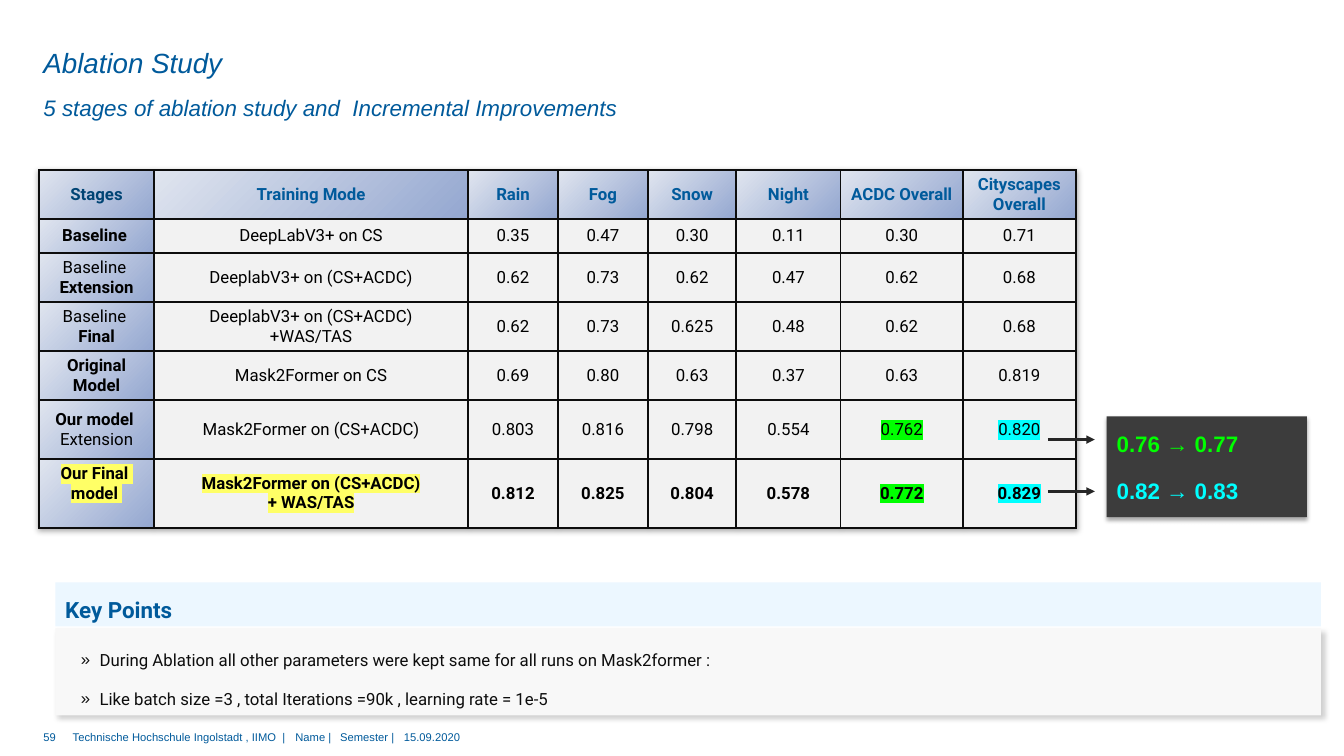
from lxml import etree
from pptx import Presentation
from pptx.dml.color import RGBColor
from pptx.enum.shapes import MSO_CONNECTOR as CONNECTOR, MSO_SHAPE as SHAPE
from pptx.enum.text import MSO_ANCHOR as ANCHOR, MSO_AUTO_SIZE as AUTO_SIZE, PP_ALIGN as ALIGN
from pptx.oxml.ns import qn
from pptx.util import Pt

COLOURS = {
    "blue": "005A9B", "navy": "004474", "black": "000000", "ink": "0D0D0D",
    "arrow": "262626", "charcoal": "3C3C3C", "cell": "F2F2F2", "panel": "F8F8F8",
    "banner": "B8E1FF", "steel": "94A7D0", "mist": "E0E5EF",
    "green": "00FF00", "cyan": "00FFFF", "yellow": "FFFF66",
}
HEADERS = ["Stages", "Training Mode", "Rain", "Fog", "Snow", "Night",
           "ACDC Overall", "Cityscapes Overall"]
# Stage lines with their bold flag, training mode lines, scores
STAGES = [
    ([("Baseline ", True)], ["DeepLabV3+ on CS"],
     "0.35 0.47 0.30 0.11 0.30 0.71"),
    ([("Baseline ", False), ("Extension", True)], ["DeeplabV3+ on (CS+ACDC)"],
     "0.62 0.73 0.62 0.47 0.62 0.68"),
    ([("Baseline ", False), ("Final", True)], ["DeeplabV3+ on (CS+ACDC)", "+WAS/TAS"],
     "0.62 0.73 0.625 0.48 0.62 0.68"),
    ([("Original Model", True)], ["Mask2Former on CS"],
     "0.69 0.80 0.63 0.37 0.63 0.819"),
    ([("Our model ", True), ("Extension", False)], ["Mask2Former on (CS+ACDC)"],
     "0.803 0.816 0.798 0.554 0.762 0.820"),
    ([("Our Final ", True), ("model ", True)], ["Mask2Former on (CS+ACDC)", "+ WAS/TAS"],
     "0.812 0.825 0.804 0.578 0.772 0.829"),
]
FINAL = len(STAGES)
HIGHLIGHTS = {(FINAL - 1, 6): "green", (FINAL - 1, 7): "cyan", (FINAL, 0): "yellow",
              (FINAL, 1): "yellow", (FINAL, 6): "green", (FINAL, 7): "cyan"}
COLUMN_WIDTHS = [82, 224.5, 64, 64.5, 63, 74.5, 87.5, 80.5]
ROW_HEIGHTS = [35, 24.5, 35, 35, 35, 42, 49]
KEY_POINTS = [
    "During Ablation all other parameters were kept same for all runs on Mask2former :",
    "Like batch size =3 , total Iterations =90k , learning rate = 1e-5",
]


def rgb(name):
    return RGBColor.from_string(COLOURS[name])


def add_element(parent, tag, **attributes):
    return etree.SubElement(parent, qn(tag), {key: str(value) for key, value in attributes.items()})


def add_colour(parent, name, alpha=None):
    colour = add_element(parent, "a:srgbClr", val=COLOURS[name])
    if alpha is not None:
        add_element(colour, "a:alpha", val=alpha * 1000)


def add_shadow(properties, alpha, blur, distance, angle):
    effects = add_element(properties, "a:effectLst")
    shadow = add_element(effects, "a:outerShdw", blurRad=Pt(blur), dist=Pt(distance),
                         dir=angle * 60000, algn="t", rotWithShape=0)
    add_colour(shadow, "black", alpha)
    return effects


def style(paragraph, size, colour, font="Arial", bold=False, italic=False):
    paragraph.font.size, paragraph.font.name = Pt(size), font
    paragraph.font.bold, paragraph.font.italic = bold, italic
    paragraph.font.color.rgb = rgb(colour)


def place(shape, left, top, width, height):
    shape.left, shape.top, shape.width, shape.height = map(Pt, (left, top, width, height))


def set_frame(frame, anchor=ANCHOR.TOP, side=0, edge=0):
    frame.word_wrap, frame.auto_size, frame.vertical_anchor = True, AUTO_SIZE.NONE, anchor
    frame.margin_left = frame.margin_right = Pt(side)
    frame.margin_top = frame.margin_bottom = Pt(edge)


def add_text(slide, text, left, top, width, height, side=0, edge=0):
    box = slide.shapes.add_textbox(*map(Pt, (left, top, width, height)))
    set_frame(box.text_frame, side=side, edge=edge)
    box.text_frame.text = text
    return box.text_frame.paragraphs[0]


def add_rectangle(slide, colour, left, top, width, height):
    shape = slide.shapes.add_shape(SHAPE.RECTANGLE, *map(Pt, (left, top, width, height)))
    shape.shadow.inherit = False
    shape.fill.solid()
    shape.fill.fore_color.rgb = rgb(colour)
    shape.line.fill.background()
    return shape


def add_headings(title, subtitle, left, top, width):
    place(title, left, top, width, 26)
    set_frame(title.text_frame, ANCHOR.MIDDLE)
    title.text_frame.text = "Ablation Study"
    place(subtitle, left, top + 26.5, width, 26.5)
    set_frame(subtitle.text_frame)
    subtitle.text_frame.text = "5 stages of ablation study and  Incremental Improvements"
    for shape, size in ((title, 19.8), (subtitle, 16)):
        paragraph = shape.text_frame.paragraphs[0]
        paragraph.alignment = ALIGN.LEFT
        paragraph.space_before = Pt(0)
        if shape is subtitle:
            paragraph.line_spacing = 1.5
            properties = paragraph._p.get_or_add_pPr()
            properties.set("marL", "0")
            properties.set("indent", "0")
            add_element(properties, "a:buNone")
        style(paragraph, size, "blue", italic=True)


def fill_cell(cell, lines, colour, gradient, highlight):
    """Write (text, bold) lines into a cell and give it its fill and borders."""
    cell.vertical_anchor = ANCHOR.MIDDLE
    cell.margin_left = cell.margin_right = Pt(6.5)
    cell.margin_top = cell.margin_bottom = Pt(3)
    if gradient:
        cell.fill.gradient()
        cell.fill.gradient_angle = 135
        for stop, name in zip(cell.fill.gradient_stops, ("steel", "mist")):
            stop.color.rgb = rgb(name)
    else:
        cell.fill.solid()
        cell.fill.fore_color.rgb = rgb("cell")
    cell.text = "\n".join(text for text, bold in lines)
    for paragraph, (text, bold) in zip(cell.text_frame.paragraphs, lines):
        paragraph.alignment = ALIGN.CENTER
        style(paragraph, 12, colour, "Roboto", bold)
        if highlight:
            run_properties = paragraph.runs[0]._r.get_or_add_rPr()
            add_colour(add_element(run_properties, "a:highlight"), highlight)
    properties = cell._tc.get_or_add_tcPr()
    for position, side in enumerate(("a:lnL", "a:lnR", "a:lnT", "a:lnB")):
        border = add_element(properties, side, w=Pt(1.5))
        add_colour(add_element(border, "a:solidFill"), "ink")
        properties.insert(position, border)


def add_results_table(slide, left, top):
    rows = [[[(header, True)] for header in HEADERS]]
    for number, (stage, modes, scores) in enumerate(STAGES, 1):
        bold = number == FINAL
        rows.append([stage, [(mode, bold) for mode in modes]]
                    + [[(score, bold)] for score in scores.split()])
    frame = slide.shapes.add_table(len(rows), len(HEADERS), Pt(left), Pt(top),
                                   Pt(sum(COLUMN_WIDTHS)), Pt(sum(ROW_HEIGHTS)))
    table = frame.table
    table.first_row = table.horz_banding = False
    table_properties = table._tbl.tblPr
    table_properties.insert(0, add_shadow(table_properties, 35, 4, 1.5, 90))
    for column, width in zip(table.columns, COLUMN_WIDTHS):
        column.width = Pt(width)
    for row, height in zip(table.rows, ROW_HEIGHTS):
        row.height = Pt(height)
    for i, row in enumerate(rows):
        for j, lines in enumerate(row):
            colour = "black" if i else "blue" if j else "navy"
            fill_cell(table.cell(i, j), lines, colour, i == 0 or j == 0, HIGHLIGHTS.get((i, j)))
    table.cell(FINAL, 0).margin_bottom = Pt(17)


def add_gains(slide, left, top, width, height):
    # Arrows from the table to the dark box
    for offset in (16.5, 53.5):
        arrow = slide.shapes.add_connector(CONNECTOR.STRAIGHT, Pt(left - 42), Pt(top + offset),
                                           Pt(left - 8.5), Pt(top + offset))
        arrow.line.color.rgb = rgb("arrow")
        arrow.line.width = Pt(2)
        add_element(arrow.line._get_or_add_ln(), "a:tailEnd", type="triangle")
        add_element(arrow._element.spPr, "a:effectLst")
    # Dark box with both gains
    box = add_rectangle(slide, "charcoal", left, top, width, height)
    properties = box._element.spPr
    properties.remove(properties.find(qn("a:effectLst")))
    add_shadow(properties, 35, 3.1, 1.8, 90)
    for text, colour, offset in (("0.76 → 0.77", "green", 6.5), ("0.82 → 0.83", "cyan", 40)):
        style(add_text(slide, text, left, top + offset, width, 26.5, 7.2, 3.6),
              16, colour, bold=True)


def add_key_points(slide, body, left, top, width):
    # Bulleted panel
    place(body, left, top + 32.5, width, 62.5)
    body.fill.solid()
    body.fill.fore_color.rgb = rgb("panel")
    add_shadow(body._element.spPr, 18, 4, 3, 45)
    set_frame(body.text_frame, side=7.2, edge=8.6)
    body.text_frame.text = "\n".join(KEY_POINTS)
    for paragraph in body.text_frame.paragraphs:
        paragraph.line_spacing = 1.5
        paragraph.space_before, paragraph.space_after = Pt(0), Pt(6)
        properties = paragraph._p.get_or_add_pPr()
        properties.set("marL", str(Pt(24.5)))
        properties.set("indent", str(Pt(-13.5)))
        add_element(properties, "a:buChar", char="»")
        style(paragraph, 12, "ink", "Roboto")
    # Banner
    banner = add_rectangle(slide, "banner", left, top, width, 31.5)
    fill_colour = banner._element.spPr.find(qn("a:solidFill"))[0]
    add_element(fill_colour, "a:alpha", val=26000)
    set_frame(banner.text_frame, ANCHOR.MIDDLE, 7.2, 3.6)
    banner.text_frame.text = "Key Points"
    paragraph = banner.text_frame.paragraphs[0]
    paragraph.alignment = ALIGN.LEFT
    paragraph.line_spacing, paragraph.space_after = 1.4, Pt(6)
    style(paragraph, 16, "blue", "Roboto", bold=True)


def add_footer(slide, left, top):
    style(add_text(slide, "59", left, top, 20, 16.5), 8, "blue")
    paragraph = add_text(
        slide, "Technische Hochschule Ingolstadt , IIMO  |\tName |\tSemester |\t15.09.2020",
        left + 21, top, 645, 19.5)
    tabs = add_element(paragraph._p.get_or_add_pPr(), "a:tabLst")
    for position in (159, 191, 236.5):
        add_element(tabs, "a:tab", pos=Pt(position), algn="l")
    style(paragraph, 8, "blue")


def main():
    presentation = Presentation()
    presentation.slide_width, presentation.slide_height = Pt(960), Pt(540)
    slide = presentation.slides.add_slide(presentation.slide_layouts[3])
    title, subtitle, body = slide.placeholders
    add_headings(title, subtitle, 31, 31.5, 768)
    add_results_table(slide, 28, 121.5)
    add_gains(slide, 790.5, 297.5, 143, 72)
    add_key_points(slide, body, 39.5, 416, 904)
    add_footer(slide, 31, 522)
    presentation.save("out.pptx")


if __name__ == "__main__":
    main()
